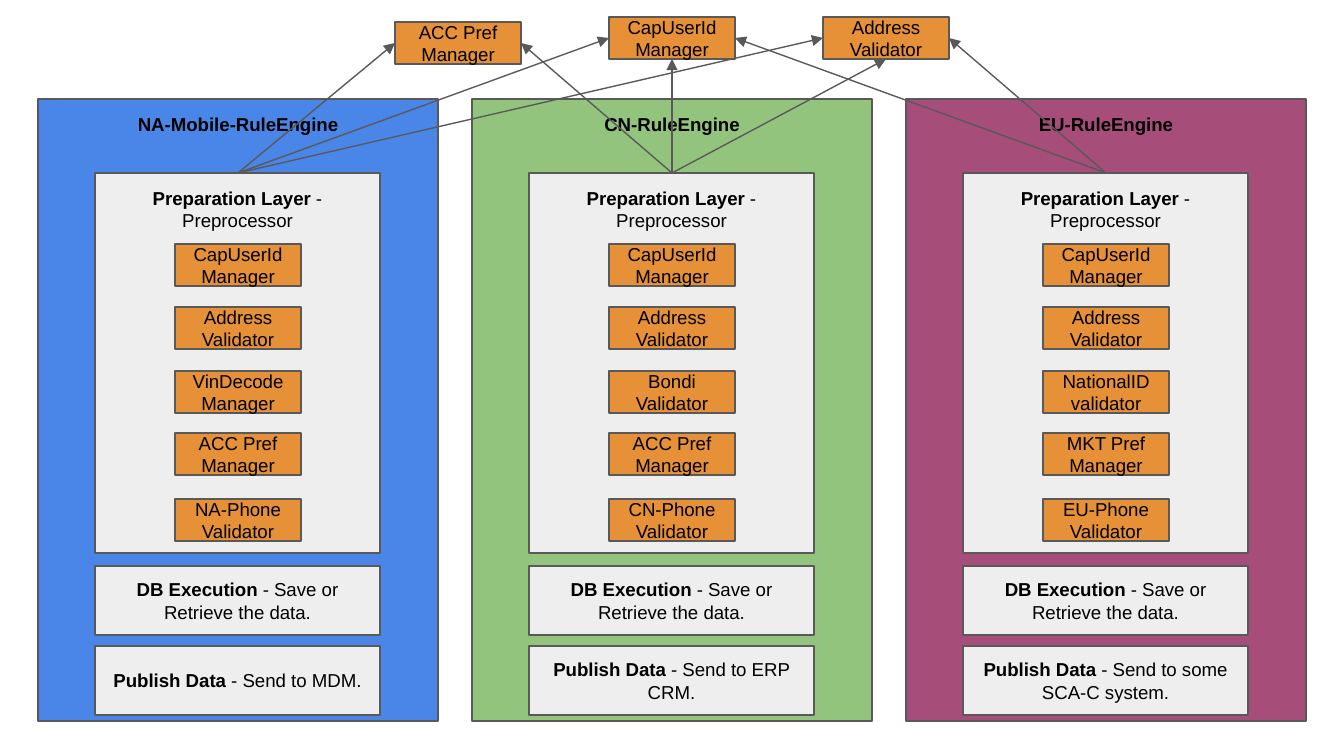
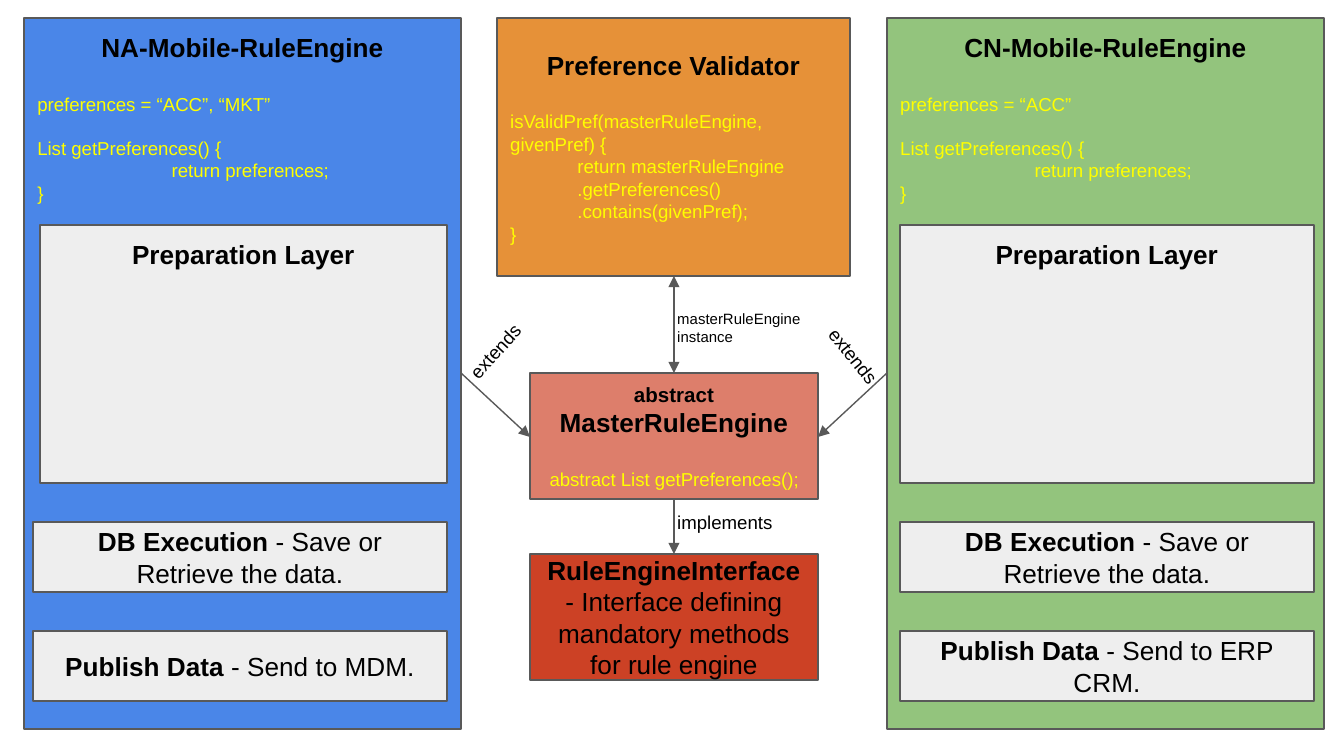
"""Builds two slides on rule engines: their layers and their class structure."""
from lxml import etree
from pptx import Presentation, util as u
from pptx.dml.color import RGBColor
from pptx.enum import shapes, text
from pptx.oxml.ns import qn

SCALE = 914400 / 134.4
BLUE, GREEN, PLUM = "4A86E8", "93C47D", "A64D79"
ORANGE, PALE, ROSE, RED = "E69138", "EEEEEE", "DD7E6B", "CC4125"
GREY, BLACK, YELLOW = "595959", "000000", "FFFF00"
LEFT, MID = text.PP_ALIGN.LEFT, text.PP_ALIGN.CENTER
STYLES = {
    "small": (10, BLACK, MID),
    "big": (14, BLACK, MID),
    "code": (10, YELLOW, LEFT),
    "call": (10, YELLOW, MID),
    "note": (10, BLACK, LEFT),
    "tiny": (8, BLACK, LEFT),
}


def box(page, area, fill, paras, middle=True, turn=0):
    x, y, w, h = [u.Emu(round(n * SCALE)) for n in area]
    if fill:
        shape = page.shapes.add_shape(shapes.MSO_SHAPE.RECTANGLE, x, y, w, h)
        shape.shadow.inherit = False
        shape.fill.solid()
        shape.fill.fore_color.rgb = RGBColor.from_string(fill)
        shape.line.color.rgb = RGBColor.from_string(GREY)
        shape.line.width = u.Pt(0.75)
    else:
        shape = page.shapes.add_textbox(x, y, w, h)
    shape.rotation = turn
    frame = shape.text_frame
    frame.word_wrap = True
    frame.vertical_anchor = text.MSO_ANCHOR.MIDDLE if middle else text.MSO_ANCHOR.TOP
    frame.margin_left = frame.margin_right = u.Inches(0.1)
    frame.margin_top = frame.margin_bottom = u.Inches(0.1)
    for i, (style, bold, plain, gap, indent) in enumerate(paras):
        para = frame.add_paragraph() if i else frame.paragraphs[0]
        size, ink, para.alignment = STYLES[style]
        para.space_before = u.Pt(gap)
        if indent:
            para._p.get_or_add_pPr().set("marL", str(u.Inches(indent)))
        for words, heavy in ((bold, True), (plain, False)):
            if words:
                run = para.add_run()
                run.text = words
                run.font.name = "Arial"
                run.font.size = u.Pt(size)
                run.font.bold = heavy
                run.font.color.rgb = RGBColor.from_string(ink)
    return shape


def arrow(page, start, end, both=False):
    ends = [u.Emu(round(n * SCALE)) for n in (*start, *end)]
    line = page.shapes.add_connector(shapes.MSO_CONNECTOR.STRAIGHT, *ends)
    line.line.color.rgb = RGBColor.from_string(GREY)
    line.line.width = u.Pt(0.75)
    stroke = line.line._get_or_add_ln()
    for tag in ("a:headEnd", "a:tailEnd") if both else ("a:tailEnd",):
        etree.SubElement(stroke, qn(tag)).set("type", "triangle")
    etree.SubElement(line._element.spPr, qn("a:effectLst"))


deck = Presentation()
deck.slide_width = u.Emu(round(1344 * SCALE))
deck.slide_height = u.Emu(round(756 * SCALE))
SAVE = ("DB Execution ", "- Save or Retrieve the data.")

page = deck.slides.add_slide(deck.slide_layouts[6])
engines = [
    ("NA-Mobile-RuleEngine", BLUE, "- Send to MDM.",
     ["VinDecode Manager", "ACC Pref Manager", "NA-Phone Validator"]),
    ("CN-RuleEngine", GREEN, "- Send to ERP CRM.",
     ["Bondi Validator", "ACC Pref Manager", "CN-Phone Validator"]),
    ("EU-RuleEngine", PLUM, "- Send to some SCA-C system.",
     ["NationalID validator", "MKT Pref Manager", "EU-Phone Validator"]),
]
common = ["CapUserId Manager", "Address Validator"]
for i, (name, fill, target, own) in enumerate(engines):
    x = 38 + 434 * i
    box(page, (x, 99, 400, 622), fill, [("small", name, "", 0, 0)], False)
    box(page, (x + 57, 173, 285, 380), PALE,
        [("small", "Preparation Layer", " - Preprocessor", 0, 0)], False)
    for y, label in zip((244, 307, 371, 433, 499), common + own):
        box(page, (x + 137, y, 126, 42), ORANGE, [("small", "", label, 0, 0)])
    box(page, (x + 57, 566, 285, 69), PALE, [("small", *SAVE, 0, 0)])
    box(page, (x + 57, 646, 285, 69), PALE, [("small", "Publish Data ", target, 0, 0)])

for x, y, label in ((395, 22, "ACC Pref Manager"), (609, 17, common[0]), (823, 17, common[1])):
    box(page, (x, y, 126, 42), ORANGE, [("small", "", label, 0, 0)])
links = [
    (238, [(395, 43), (609, 38), (823, 38)]),
    (672, [(521, 43), (672, 59), (886, 59)]),
    (1106, [(735, 38), (949, 38)]),
]
for x, ends in links:
    for end in ends:
        arrow(page, (x, 173), end)

page = deck.slides.add_slide(deck.slide_layouts[6])
sides = [
    (24, 33, 40, "NA", BLUE, "“ACC”, “MKT”", "- Send to MDM."),
    (887, 900, 900, "CN", GREEN, "“ACC”", "- Send to ERP CRM."),
]
for x, left, prep, zone, fill, prefs, target in sides:
    box(page, (x, 18, 437, 711), fill, [
        ("big", zone + "-Mobile-RuleEngine", "", 0, 0),
        ("code", "", "preferences = " + prefs, 16, 0),
        ("code", "", "List getPreferences() {", 11.5, 0),
        ("code", "", "return preferences;", 0, 1),
        ("code", "", "}", 0, 0),
    ], False)
    box(page, (prep, 225, left + 414 - prep, 258), PALE,
        [("big", "Preparation Layer", "", 0, 0)], False)
    box(page, (left, 522, 414, 70), PALE, [("big", *SAVE, 0, 0)])
    box(page, (left, 631, 414, 70), PALE, [("big", "Publish Data ", target, 0, 0)])

box(page, (497, 18, 353, 258), ORANGE, [
    ("big", "Preference Validator", "", 0, 0),
    ("code", "", "isValidPref(masterRuleEngine, givenPref) {", 16, 0),
    ("code", "", "return masterRuleEngine", 0, 0.5),
    ("code", "", ".getPreferences()", 0, 0.5),
    ("code", "", ".contains(givenPref);", 0, 0.5),
    ("code", "", "}", 0, 0),
])
master = box(page, (530, 373, 288, 126), ROSE, [
    ("big", "abstract ", "MasterRuleEngine", 0, 0),
    ("call", "", "abstract List getPreferences();", 16, 0),
])
first, second = master.text_frame.paragraphs[0].runs
first.font.size = u.Pt(11)
second.font.bold = True
box(page, (530, 554, 288, 126), RED, [
    ("big", "RuleEngineInterface ", "- Interface defining mandatory methods for rule engine", 0, 0),
])

arrow(page, (461, 373), (530, 437))
arrow(page, (887, 373), (818, 437))
arrow(page, (674, 499), (674, 554))
arrow(page, (674, 276), (674, 373), True)
notes = [
    (664, 500, "note", "implements", 0),
    (794, 361, "note", "extends", 51.2),
    (438, 302, "note", "extends", 312.3),
    (664, 296, "tiny", "masterRuleEngine instance", 0),
]
for x, y, style, label, turn in notes:
    box(page, (x, y, 163, 46), None, [(style, "", label, 0, 0)], False, turn)

deck.save("out.pptx")
